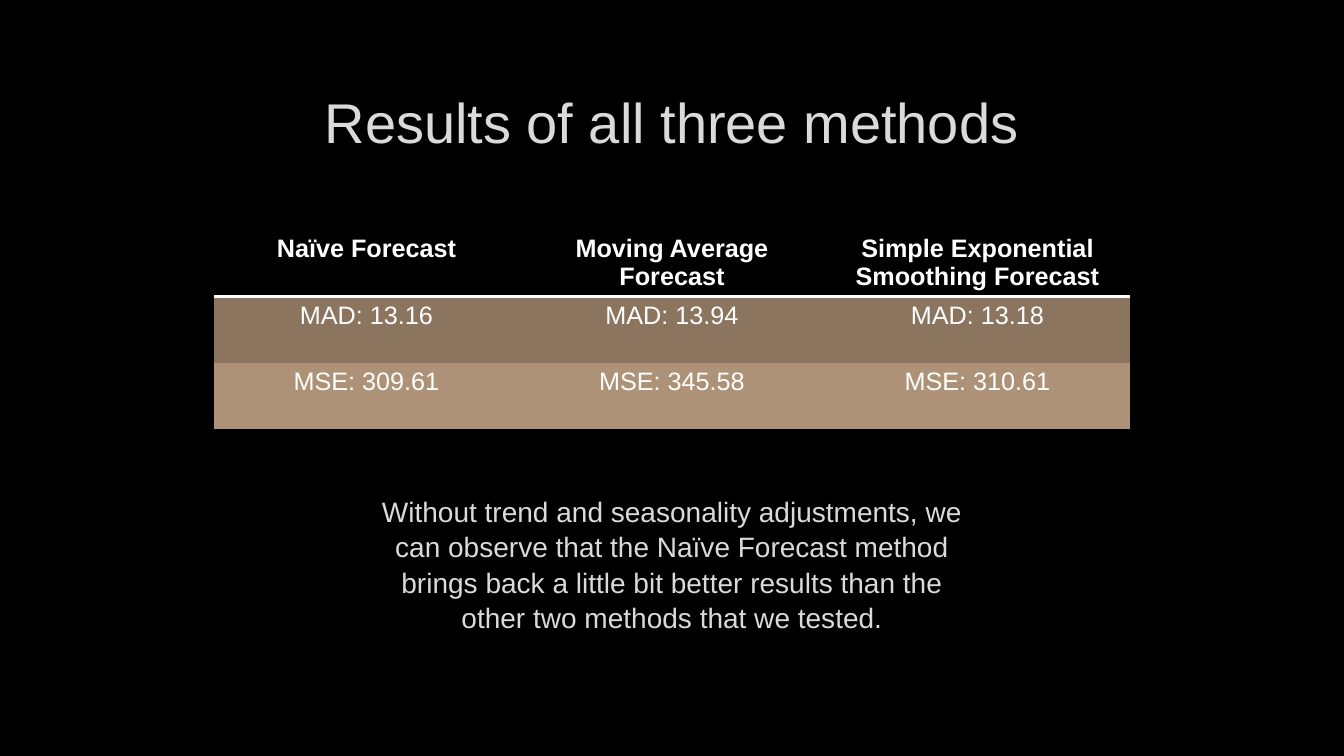
from pptx import Presentation
from pptx import util as u
from pptx.dml.color import RGBColor
from pptx.enum import text
from pptx.oxml import parse_xml
from pptx.oxml.ns import nsdecls, qn

# Content
TITLE = "Results of all three methods"
RESULTS = [
    ("Naïve Forecast", "Moving Average\vForecast", "Simple Exponential Smoothing Forecast"),
    ("MAD: 13.16", "MAD: 13.94", "MAD: 13.18"),
    ("MSE: 309.61", "MSE: 345.58", "MSE: 310.61"),
]
CONCLUSION = (
    "Without trend and seasonality adjustments, we can observe that the "
    "Naïve Forecast method brings back a little bit better results than the "
    "other two methods that we tested."
)

# Look
FONT = "Arial"
BLACK, WHITE, PALE = "000000", "FFFFFF", "DADADA"
ROW_FILLS = [None, "8B755F", "AD9277"]
COLUMN_WIDTH, ROW_HEIGHT = 3.03, 0.66
NO_GRID_STYLE = "{2D5ABB26-0587-4C30-8999-92F81FD0307C}"


def color(value):
    return RGBColor.from_string(value)


def paint(fill, value):
    fill.solid()
    fill.fore_color.rgb = color(value)


def write(frame, content, size, value, bold=False):
    frame.text = content
    frame.word_wrap = True
    para = frame.paragraphs[0]
    para.alignment = text.PP_ALIGN.CENTER
    para.font.name = FONT
    para.font.size = u.Pt(size)
    para.font.bold = bold
    para.font.color.rgb = color(value)
    return para


def underline_cell(cell, value, points):
    cell._tc.get_or_add_tcPr().insert(0, parse_xml(
        f'<a:lnB {nsdecls("a")} w="{u.Pt(points)}"><a:solidFill>'
        f'<a:srgbClr val="{value}"/></a:solidFill></a:lnB>'))


def add_title(page):
    title = page.shapes.title
    title.left, title.top = u.Inches(1), u.Inches(0.67)
    title.width, title.height = u.Inches(11.32), u.Inches(1.06)
    title.text_frame.vertical_anchor = text.MSO_ANCHOR.MIDDLE
    write(title.text_frame, TITLE, 40, PALE)


def add_results(page):
    rows, columns = len(RESULTS), len(RESULTS[0])
    table = page.shapes.add_table(
        rows, columns, u.Inches(2.12), u.Inches(2.28),
        u.Inches(COLUMN_WIDTH * columns), u.Inches(ROW_HEIGHT * rows)).table
    table.horz_banding = False
    table._tbl.tblPr.find(qn("a:tableStyleId")).text = NO_GRID_STYLE
    for column in table.columns:
        column.width = u.Inches(COLUMN_WIDTH)
    for r, (values, fill) in enumerate(zip(RESULTS, ROW_FILLS)):
        table.rows[r].height = u.Inches(ROW_HEIGHT)
        for c, value in enumerate(values):
            cell = table.cell(r, c)
            write(cell.text_frame, value, 18, WHITE, bold=r == 0)
            if fill:
                paint(cell.fill, fill)
            else:
                cell.fill.background()
                underline_cell(cell, WHITE, 2)


def add_conclusion(page):
    box = page.shapes.add_textbox(
        u.Inches(3.57), u.Inches(4.84), u.Inches(6.19), u.Inches(1.45))
    para = write(box.text_frame, CONCLUSION, 20, PALE)
    para.line_spacing = 1.05


def main():
    deck = Presentation()
    deck.slide_width, deck.slide_height = u.Inches(13.33), u.Inches(7.5)
    page = deck.slides.add_slide(deck.slide_layouts[5])
    paint(page.background.fill, BLACK)
    add_title(page)
    add_results(page)
    add_conclusion(page)
    deck.save("out.pptx")


if __name__ == "__main__":
    main()
